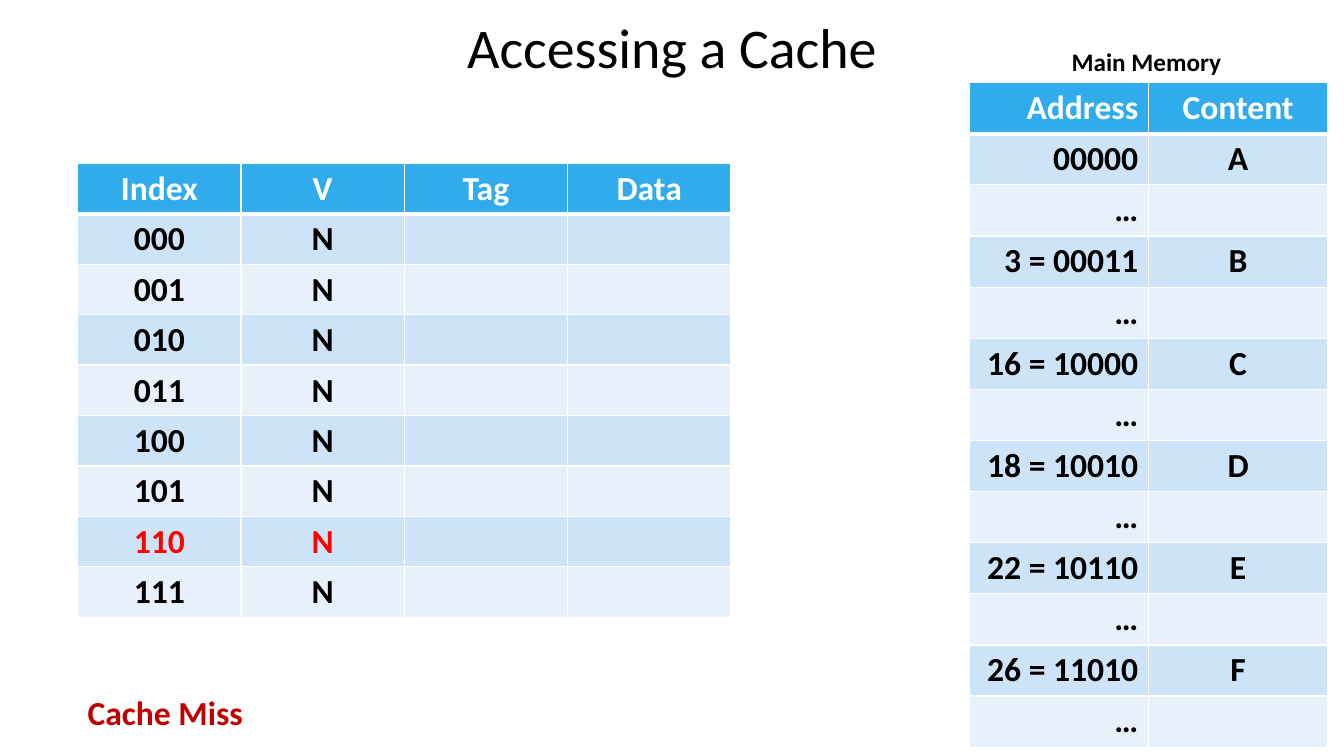
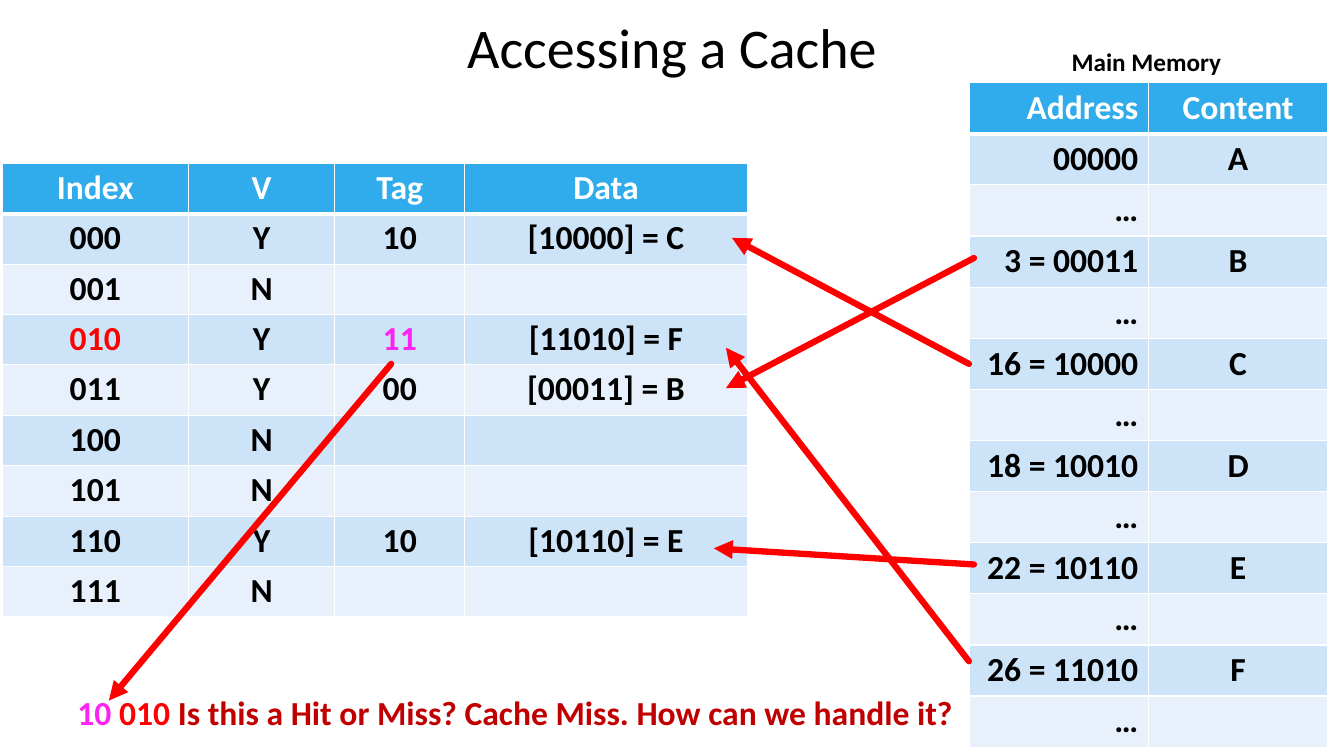
from dataclasses import dataclass, field
from typing import NamedTuple

import pptx
import pptx.dml.color
import pptx.enum.shapes
import pptx.enum.text
import pptx.oxml.ns
import pptx.slide
import pptx.table
import pptx.text.text
import pptx.util
from lxml import etree

Inches = pptx.util.Inches
Pt = pptx.util.Pt
CENTER = pptx.enum.text.PP_ALIGN.CENTER
RIGHT = pptx.enum.text.PP_ALIGN.RIGHT


@dataclass(frozen=True)
class Theme:
    font: str = "Calibri"
    title_size: int = 40
    body_size: int = 24
    label_size: int = 18
    black: str = "000000"
    white: str = "FFFFFF"
    header: str = "30ACEC"
    bands: tuple[str, str] = ("CDE3F8", "E8F1FB")
    red: str = "FF0000"
    dark_red: str = "C00000"
    magenta: str = "FC24F2"
    border: float = 1
    header_border: float = 3
    arrow: float = 4.5


THEME = Theme()


class Span(NamedTuple):
    text: str
    color: str


class Label(NamedTuple):
    left: float
    top: float
    width: float
    height: float
    size: int
    spans: list[Span]


class Arrow(NamedTuple):
    x1: float
    y1: float
    x2: float
    y2: float


@dataclass(frozen=True)
class Grid:
    left: float
    top: float
    widths: list[float]
    rows: list[list[str]]
    first_align: pptx.enum.text.PP_ALIGN = CENTER
    highlights: dict[tuple[int, int], str] = field(default_factory=dict)
    row_height: float = 0.5
    v_margin: float = 0.05


@dataclass(frozen=True)
class CacheSlide:
    cache: Grid
    caption: Label
    arrows: list[Arrow] = field(default_factory=list)


def memory_rows() -> list[list[str]]:
    """Each stored address is followed by a row standing for the gap after it."""
    addresses = ["00000", "3 = 00011", "16 = 10000", "18 = 10010",
                 "22 = 10110", "26 = 11010"]
    rows = [["Address", "Content"]]
    for address, content in zip(addresses, "ABCDEF"):
        rows += [[address, content], ["…", ""]]
    return rows


def cache_rows(filled: dict[int, tuple[str, str]]) -> list[list[str]]:
    """Eight cache lines; filled maps a line to its tag and data."""
    rows = [["Index", "V", "Tag", "Data"]]
    for i in range(8):
        valid = "Y" if i in filled else "N"
        rows.append([f"{i:03b}", valid, *filled.get(i, ("", ""))])
    return rows


TITLE = "Accessing a Cache"
MEMORY = Grid(9.61, 0.82, [1.78] * 2, memory_rows(), first_align=RIGHT)
MEMORY_LABEL = Label(10.53, 0.41, 1.71, 0.4, THEME.label_size,
                     [Span("Main Memory", THEME.black)])

SLIDES = [
    CacheSlide(
        cache=Grid(0.77, 1.62, [1.62] * 4, cache_rows({}),
                   highlights={(7, 0): THEME.red, (7, 1): THEME.red}),
        caption=Label(0.77, 6.82, 1.8, 0.5, THEME.body_size,
                      [Span("Cache Miss", THEME.dark_red)]),
    ),
    CacheSlide(
        cache=Grid(0.02, 1.62, [1.85, 1.45, 1.29, 2.8],
                   cache_rows({0: ("10", "[10000] = C"),
                               2: ("11", "[11010] = F"),
                               3: ("00", "[00011] = B"),
                               6: ("10", "[10110] = E")}),
                   highlights={(3, 0): THEME.red, (3, 2): THEME.magenta},
                   v_margin=0.04),
        caption=Label(0.67, 6.82, 9.11, 0.5, THEME.body_size, [
            Span("10 ", THEME.magenta),
            Span("010", THEME.red),
            Span(" Is this a Hit or Miss? Cache Miss. How can we handle it?",
                 THEME.dark_red)]),
        arrows=[Arrow(9.61, 3.61, 7.26, 2.36),
                Arrow(9.61, 6.56, 7.2, 3.45),
                Arrow(9.66, 2.56, 7.2, 3.85),
                Arrow(9.66, 5.6, 7.08, 5.44),
                Arrow(3.88, 3.61, 1.08, 6.95)],
    ),
]


def rgb(color: str) -> pptx.dml.color.RGBColor:
    return pptx.dml.color.RGBColor.from_string(color)


def style_font(font: pptx.text.text.Font, size: int, color: str,
               bold: bool = True) -> None:
    font.name = THEME.font
    font.size = Pt(size)
    font.bold = bold
    font.color.rgb = rgb(color)


def add_child(parent: etree._Element, tag: str, **attrs: str) -> etree._Element:
    return etree.SubElement(parent, pptx.oxml.ns.qn(tag), **attrs)


def add_title(s: pptx.slide.Slide, width: int) -> None:
    sp = s.shapes.title
    sp.left, sp.top, sp.width, sp.height = 0, 0, width, Inches(0.92)
    tf = sp.text_frame
    tf.text = TITLE
    tf.vertical_anchor = pptx.enum.text.MSO_ANCHOR.MIDDLE
    p = tf.paragraphs[0]
    p.alignment = CENTER
    style_font(p.runs[0].font, THEME.title_size, THEME.black, bold=False)


def add_label(s: pptx.slide.Slide, label: Label) -> None:
    sp = s.shapes.add_textbox(*(Inches(v) for v in label[:4]))
    tf = sp.text_frame
    tf.word_wrap = False
    tf.auto_size = pptx.enum.text.MSO_AUTO_SIZE.SHAPE_TO_FIT_TEXT
    for span in label.spans:
        r = tf.paragraphs[0].add_run()
        r.text = span.text
        style_font(r.font, label.size, span.color)


def add_borders(cell: pptx.table._Cell, row: int) -> None:
    """White borders, heavier on the line between header and body."""
    heavy = {0: "a:lnB", 1: "a:lnT"}.get(row)
    tc_pr = cell._tc.get_or_add_tcPr()
    for tag in ("a:lnL", "a:lnR", "a:lnT", "a:lnB"):
        width = THEME.header_border if tag == heavy else THEME.border
        ln = add_child(tc_pr, tag, w=str(Pt(width)))
        add_child(add_child(ln, "a:solidFill"), "a:srgbClr", val=THEME.white)


def add_grid(s: pptx.slide.Slide, grid: Grid) -> None:
    count = len(grid.rows)
    frame = s.shapes.add_table(
        count, len(grid.widths), Inches(grid.left), Inches(grid.top),
        Inches(sum(grid.widths)), Inches(grid.row_height * count))
    table = frame.table
    table.first_row = table.horz_banding = False
    for column, width in zip(table.columns, grid.widths):
        column.width = Inches(width)
    for i, texts in enumerate(grid.rows):
        table.rows[i].height = Inches(grid.row_height)
        fill = THEME.bands[(i - 1) % 2] if i else THEME.header
        color = THEME.black if i else THEME.white
        for j, text in enumerate(texts):
            cell = table.cell(i, j)
            cell.margin_top = cell.margin_bottom = Inches(grid.v_margin)
            add_borders(cell, i)
            cell.fill.solid()
            cell.fill.fore_color.rgb = rgb(fill)
            p = cell.text_frame.paragraphs[0]
            p.text = text
            p.alignment = CENTER if j else grid.first_align
            for r in p.runs:
                style_font(r.font, THEME.body_size,
                           grid.highlights.get((i, j), color))


def add_arrow(s: pptx.slide.Slide, arrow: Arrow) -> None:
    line = s.shapes.add_connector(pptx.enum.shapes.MSO_CONNECTOR.STRAIGHT,
                                  *(Inches(v) for v in arrow))
    line.line.color.rgb = rgb(THEME.red)
    line.line.width = Pt(THEME.arrow)
    ln = line.line._get_or_add_ln()
    ln.set("cap", "rnd")
    add_child(ln, "a:round")
    add_child(ln, "a:tailEnd", type="triangle")
    add_child(line._element.spPr, "a:effectLst")


def main() -> None:
    prs = pptx.Presentation()
    prs.slide_width = Inches(13.33)
    prs.slide_height = Inches(7.5)
    for content in SLIDES:
        s = prs.slides.add_slide(prs.slide_layouts.get_by_name("Title Only"))
        add_title(s, prs.slide_width)
        add_grid(s, MEMORY)
        add_label(s, MEMORY_LABEL)
        add_grid(s, content.cache)
        for arrow in content.arrows:
            add_arrow(s, arrow)
        add_label(s, content.caption)
    prs.save("out.pptx")


if __name__ == "__main__":
    main()
